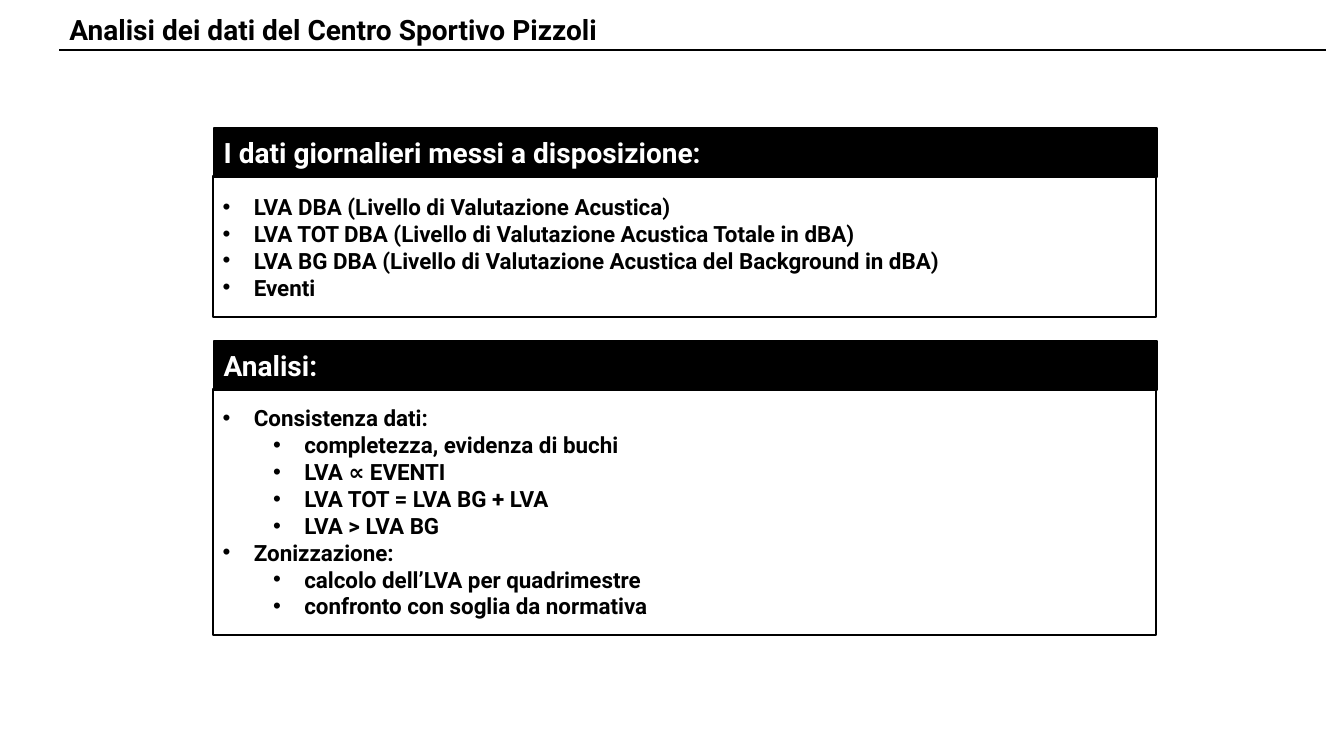
"""Builds the slide on the acoustic data analysis of a sports centre."""
from lxml.etree import SubElement
from pptx import Presentation
from pptx.dml.color import RGBColor
from pptx.enum.shapes import MSO_CONNECTOR as Connector, MSO_SHAPE as Shape
from pptx.enum.text import MSO_ANCHOR as Anchor, PP_ALIGN as Align
from pptx.oxml.ns import qn
from pptx.util import Inches, Pt

COLOURS = {"ink": "000000", "paper": "FFFFFF"}
PANELS = [
    (1.27, 1.4, "I dati giornalieri messi a disposizione:", [
        (0, "LVA DBA (Livello di Valutazione Acustica)"),
        (0, "LVA TOT DBA (Livello di Valutazione Acustica Totale in dBA)"),
        (0, "LVA BG DBA (Livello di Valutazione Acustica del Background in dBA)"),
        (0, "Eventi"),
    ]),
    (3.38, 2.44, "Analisi:", [
        (0, "Consistenza dati:"),
        (1, "completezza, evidenza di buchi"),
        (1, "LVA ∝ EVENTI"),
        (1, "LVA TOT = LVA BG + LVA"),
        (1, "LVA > LVA BG"),
        (0, "Zonizzazione:"),
        (1, "calcolo dell’LVA per quadrimestre"),
        (1, "confronto con soglia da normativa"),
    ]),
]


class SlideBuilder:
    font = "Roboto"
    heading_size = 20
    item_size = 16
    line_width = 1.5

    def __init__(self, slide):
        self.slide = slide

    def colour(self, name):
        return RGBColor.from_string(COLOURS[name])

    def add_wording(self, paragraph, wording, size, colour):
        paragraph.alignment = Align.LEFT
        run = paragraph.add_run()
        run.text = wording
        run.font.name = self.font
        run.font.size = Pt(size)
        run.font.bold = True
        run.font.color.rgb = self.colour(colour)

    def title(self, wording, left, top, width, height):
        title = self.slide.shapes.add_textbox(*map(Inches, (left, top, width, height)))
        frame = title.text_frame
        frame.word_wrap = True
        frame.vertical_anchor = Anchor.MIDDLE
        self.add_wording(frame.paragraphs[0], wording, self.heading_size, "ink")

    def rule(self, left, right, y):
        rule = self.slide.shapes.add_connector(
            Connector.STRAIGHT, Inches(left), Inches(y), Inches(right), Inches(y))
        rule.line.color.rgb = self.colour("ink")
        rule.line.width = Pt(self.line_width)
        SubElement(rule._element.spPr, qn("a:effectLst"))

    def box(self, left, top, width, height, fill=None):
        box = self.slide.shapes.add_shape(
            Shape.RECTANGLE, *map(Inches, (left, top, width, height)))
        box.shadow.inherit = False
        if fill:
            box.fill.solid()
            box.fill.fore_color.rgb = self.colour(fill)
        else:
            box.fill.background()
        box.line.color.rgb = self.colour("ink")
        box.line.width = Pt(self.line_width)
        box.text_frame.word_wrap = True
        box.text_frame.vertical_anchor = Anchor.MIDDLE
        return box.text_frame

    def bullet(self, paragraph, level):
        paragraph.level = level
        properties = paragraph._p.get_or_add_pPr()
        properties.set("marL", str(Inches(0.31 + 0.5 * level)))
        properties.set("indent", str(Inches(-0.31)))
        SubElement(properties, qn("a:buFont"), typeface="Arial")
        SubElement(properties, qn("a:buChar"), char="•")

    def panel(self, top, body_height, heading, items):
        header = self.box(2.12, top, 9.36, 0.49, "ink")
        self.add_wording(header.paragraphs[0], heading, self.heading_size, "paper")
        body = self.box(2.11, top + 0.48, 9.36, body_height)
        for index, (level, wording) in enumerate(items):
            item = body.add_paragraph() if index else body.paragraphs[0]
            self.bullet(item, level)
            self.add_wording(item, wording, self.item_size, "ink")


def main():
    deck = Presentation()
    deck.slide_width, deck.slide_height = Inches(13.33), Inches(7.5)
    builder = SlideBuilder(deck.slides.add_slide(deck.slide_layouts[6]))
    builder.title("Analisi dei dati del Centro Sportivo Pizzoli", 0.59, 0, 6.95, 0.59)
    builder.rule(0.59, 13.15, 0.5)
    for panel in PANELS:
        builder.panel(*panel)
    deck.save("out.pptx")


if __name__ == "__main__":
    main()
